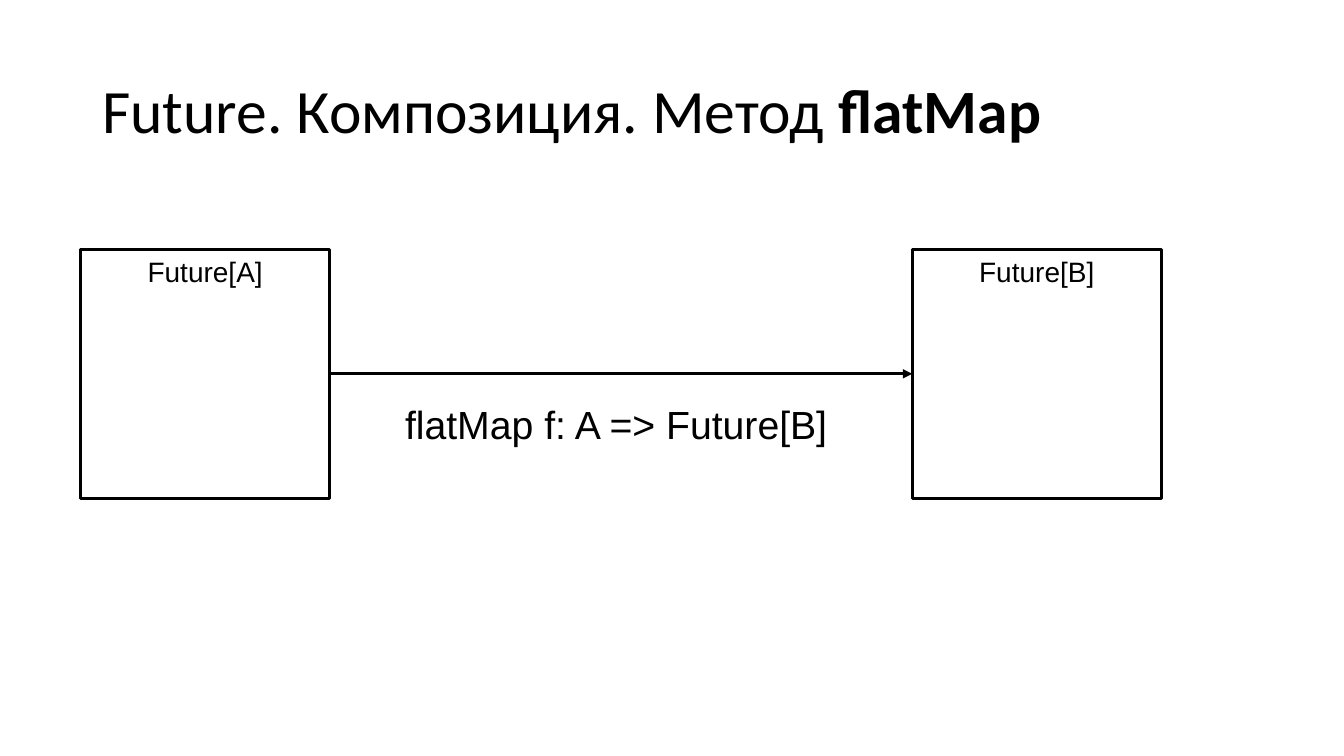
from lxml.etree import SubElement
from pptx import Presentation
from pptx.dml.color import RGBColor
from pptx.enum.shapes import MSO_CONNECTOR, MSO_SHAPE
from pptx.enum.text import MSO_ANCHOR, MSO_AUTO_SIZE, PP_ALIGN
from pptx.oxml.ns import qn
from pptx.util import Pt

BLACK = "000000"
WHITE = "FFFFFF"
BOX_SIDE = 178
BOX_TOP = 178
BOX_LEFTS = {"Future[A]": 57.6, "Future[B]": 651.6}


def color(hex_code):
    return RGBColor.from_string(hex_code)


def style_font(font, name, size):
    font.name = name
    font.size = Pt(size)
    font.color.rgb = color(BLACK)


deck = Presentation()
deck.slide_width = Pt(960)
deck.slide_height = Pt(540)
page = deck.slides.add_slide(deck.slide_layouts[6])

# Title
title = page.shapes.add_textbox(Pt(66), Pt(28.75), Pt(828), Pt(104.4))
title.text_frame.word_wrap = True
title.text_frame.vertical_anchor = MSO_ANCHOR.MIDDLE
para = title.text_frame.paragraphs[0]
para.line_spacing = 0.9
style_font(para.font, "Calibri", 44)
para.add_run().text = "Future. Композиция. Метод "
method = para.add_run()
method.text = "flatMap"
method.font.bold = True

# Future boxes
boxes = []
for label, left in BOX_LEFTS.items():
    box = page.shapes.add_shape(
        MSO_SHAPE.RECTANGLE, Pt(left), Pt(BOX_TOP), Pt(BOX_SIDE), Pt(BOX_SIDE))
    box.shadow.inherit = False
    box.fill.solid()
    box.fill.fore_color.rgb = color(WHITE)
    box.line.color.rgb = color(BLACK)
    box.line.width = Pt(2)
    box.text_frame.vertical_anchor = MSO_ANCHOR.TOP
    para = box.text_frame.paragraphs[0]
    para.text = label
    para.alignment = PP_ALIGN.CENTER
    style_font(para.font, "Arial", 20)
    boxes.append(box)

# Arrow from the right side of the first box to the left side of the second
source, target = boxes
arrow = page.shapes.add_connector(MSO_CONNECTOR.STRAIGHT, 0, 0, 0, 0)
arrow.begin_connect(source, 3)
arrow.end_connect(target, 1)
arrow.line.color.rgb = color(BLACK)
arrow.line.width = Pt(2.25)
SubElement(arrow.line._get_or_add_ln(), qn("a:tailEnd"), type="triangle")
SubElement(arrow._element.spPr, qn("a:effectLst"))

# Arrow caption
caption = page.shapes.add_textbox(Pt(282.25), Pt(282.25), Pt(322.5), Pt(41))
caption.text_frame.word_wrap = False
caption.text_frame.auto_size = MSO_AUTO_SIZE.SHAPE_TO_FIT_TEXT
para = caption.text_frame.paragraphs[0]
para.text = "flatMap f: A => Future[B]"
style_font(para.font, "Arial", 28)

deck.save("out.pptx")
